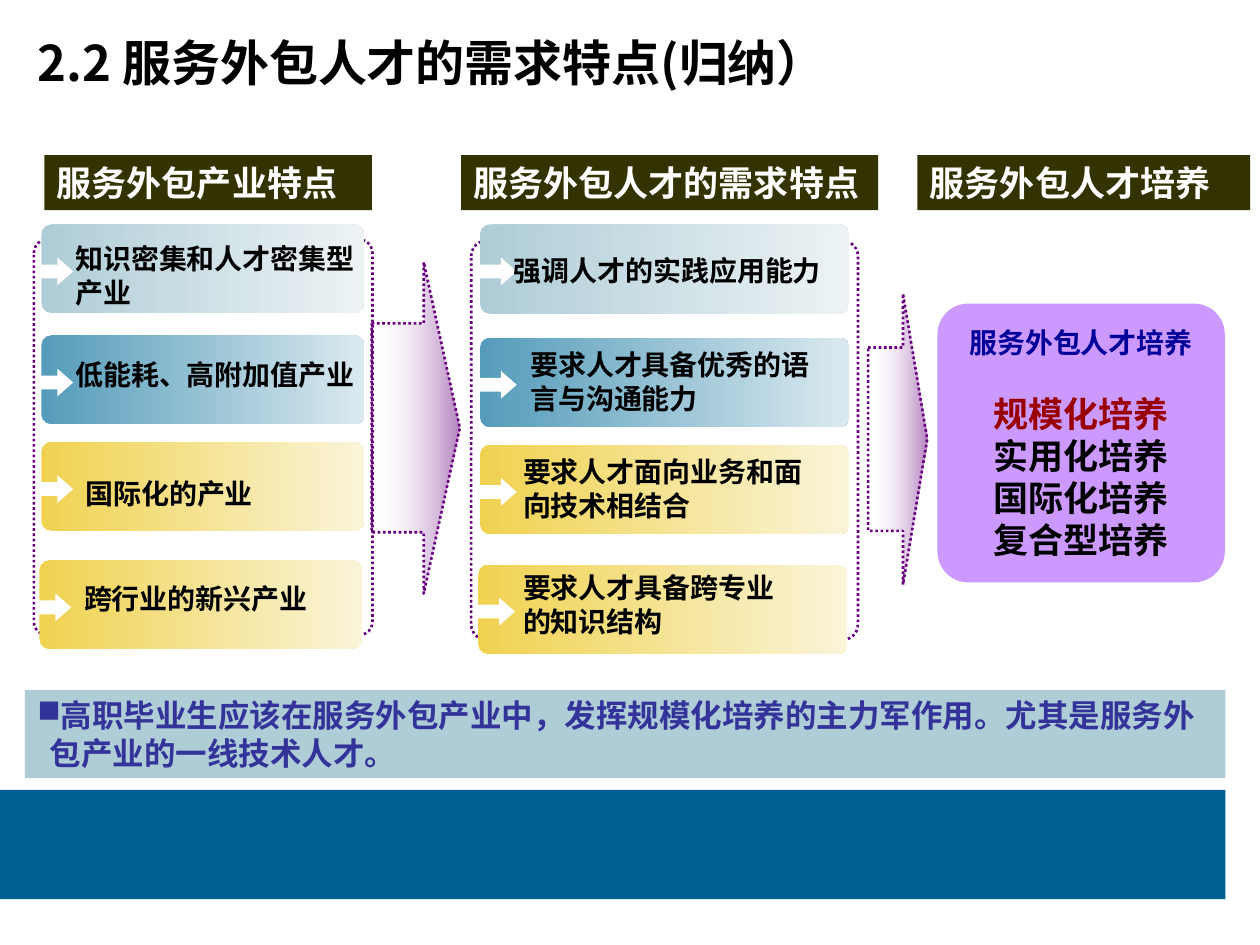
from dataclasses import dataclass

import pptx
import pptx.dml.color
import pptx.enum.dml
import pptx.enum.shapes
import pptx.enum.text
import pptx.oxml.ns
import pptx.util
from lxml import etree

Pt = pptx.util.Pt
RGBColor = pptx.dml.color.RGBColor
SHAPES = pptx.enum.shapes.MSO_SHAPE
ALIGN = pptx.enum.text.PP_ALIGN
ANCHOR = pptx.enum.text.MSO_ANCHOR
qn = pptx.oxml.ns.qn

BLACK = RGBColor(0x00, 0x00, 0x00)
WHITE = RGBColor(0xFF, 0xFF, 0xFF)
OFF_WHITE = RGBColor(0xFE, 0xFE, 0xFE)
PURPLE = RGBColor(0x66, 0x00, 0x7C)
LILAC = RGBColor(0xCC, 0x99, 0xFF)
OLIVE = RGBColor(0x33, 0x33, 0x00)
NAVY = RGBColor(0x00, 0x00, 0x99)
RED = RGBColor(0x99, 0x00, 0x00)
INDIGO = RGBColor(0x33, 0x33, 0x99)
FOOTER_BLUE = RGBColor(0x00, 0x61, 0x91)
MIST = RGBColor(0xAF, 0xCD, 0xD7)
MIST_PALE = RGBColor(0xED, 0xF3, 0xF5)
BLUE = RGBColor(0x55, 0x9C, 0xBA)
BLUE_PALE = RGBColor(0xDA, 0xE9, 0xEF)
YELLOW = RGBColor(0xF0, 0xD2, 0x50)
YELLOW_PALE = RGBColor(0xFA, 0xF4, 0xD9)

BAR_GRADIENTS = [(MIST, MIST_PALE), (BLUE, BLUE_PALE),
                 (YELLOW, YELLOW_PALE), (YELLOW, YELLOW_PALE)]


@dataclass(frozen=True)
class Box:
    """Position and size in points."""
    left: float
    top: float
    width: float
    height: float

    def lengths(self) -> list:
        return [Pt(value) for value in (self.left, self.top, self.width, self.height)]


@dataclass(frozen=True)
class Item:
    """One feature bar and the box of its label."""
    text: str
    bar_left: float
    bar_top: float
    label: Box


@dataclass(frozen=True)
class Column:
    """A dotted frame with its feature bars and the arrow leading onwards."""
    arrow: Box
    frame: Box
    bar_width: float
    bar_height: float
    marker_width: float
    items: list


COLUMNS = [
    Column(Box(496.1, 167.8, 33.8, 166.3), Box(269.3, 137.5, 221, 228.2), 211, 51.1, 23, [
        Item("强调人才的实践应用能力", 274.3, 128.2, Box(286.6, 141.1, 193, 26.6)),
        Item("要求人才具备优秀的语言与沟通能力", 274.3, 193, Box(296, 195.1, 189.4, 46)),
        Item("要求人才面向业务和面向技术相结合", 274.3, 254.2, Box(291.8, 256.3, 178.6, 46)),
        Item("要求人才具备跨专业的知识结构", 273.3, 322.6, Box(291.8, 322.6, 159, 46)),
    ]),
    Column(Box(212.4, 149.8, 50.4, 189.4), Box(19.4, 136.8, 193.5, 226.2), 184.5, 50.6, 20.2, [
        Item("知识密集和人才密集型产业", 23.6, 128.2, Box(36, 134.6, 176, 46)),
        Item("低能耗、高附加值产业", 23.6, 191.7, Box(36, 200.9, 176, 26.6)),
        Item("国际化的产业", 23.6, 252.6, Box(41.8, 268.6, 165.6, 26.6)),
        Item("跨行业的新兴产业", 22.5, 320.2, Box(41, 329, 156.2, 26.6)),
    ]),
]

HEADERS = [
    ("服务外包产业特点", Box(25.4, 88.6, 187.2, 31.5)),
    ("服务外包人才的需求特点", Box(263.5, 88.6, 238.3, 31.5)),
    ("服务外包人才培养", Box(524.3, 88.6, 190.1, 31.5)),
]

# text, size, colour, space before
TRAINING_LINES = [
    ("服务外包人才培养", 16, NAVY, 0),
    ("规模化培养", 20, RED, 19.2),
    ("实用化培养", 20, BLACK, 0),
    ("国际化培养", 20, BLACK, 0),
    ("复合型培养", 20, BLACK, 0),
]


def add_shape(slide, kind, box: Box, color: RGBColor = None, adjustments: tuple = ()):
    shape = slide.shapes.add_shape(kind, *box.lengths())
    shape.shadow.inherit = False
    shape.line.fill.background()
    if color is None:
        shape.fill.background()
    else:
        shape.fill.solid()
        shape.fill.fore_color.rgb = color
    for index, value in enumerate(adjustments):
        shape.adjustments[index] = value
    return shape


def fill_gradient(shape, left_color: RGBColor, right_color: RGBColor, opacities: tuple = ()) -> None:
    shape.fill.gradient()
    shape.fill.gradient_angle = 0
    for stop, color in zip(shape.fill.gradient_stops, (left_color, right_color)):
        stop.color.rgb = color
    for color_element, opacity in zip(shape.element.spPr.iter(qn("a:srgbClr")), opacities):
        etree.SubElement(color_element, qn("a:alpha"), val=str(opacity * 1000))


def set_dotted_line(shape) -> None:
    shape.line.color.rgb = PURPLE
    shape.line.width = Pt(1.5)
    shape.line.dash_style = pptx.enum.dml.MSO_LINE.ROUND_DOT


def format_paragraph(paragraph, size: float, color: RGBColor, font: str = "Arial",
                     align=ALIGN.LEFT) -> None:
    paragraph.alignment = align
    for run in paragraph.runs:
        run.font.size = Pt(size)
        run.font.bold = True
        run.font.name = font
        run.font.color.rgb = color


def set_text(shape, text: str, size: float, color: RGBColor, font: str = "Arial"):
    frame = shape.text_frame
    frame.word_wrap = True
    frame.vertical_anchor = ANCHOR.TOP
    frame.text = text
    format_paragraph(frame.paragraphs[0], size, color, font)
    return frame.paragraphs[0]


def add_label(slide, box: Box, text: str, size: float, font: str = "Arial") -> None:
    set_text(slide.shapes.add_textbox(*box.lengths()), text, size, BLACK, font)


def add_column(slide, column: Column) -> None:
    arrow = add_shape(slide, SHAPES.RIGHT_ARROW, column.arrow, adjustments=(0.63, 0.41))
    fill_gradient(arrow, OFF_WHITE, PURPLE, (0, 50))
    set_dotted_line(arrow)
    set_dotted_line(add_shape(slide, SHAPES.ROUNDED_RECTANGLE, column.frame, adjustments=(0.04,)))
    for item, colors in zip(column.items, BAR_GRADIENTS):
        bar_box = Box(item.bar_left, item.bar_top, column.bar_width, column.bar_height)
        bar = add_shape(slide, SHAPES.ROUNDED_RECTANGLE, bar_box, adjustments=(0.11,))
        fill_gradient(bar, *colors)
        marker = Box(item.bar_left - 2, item.bar_top + 19, column.marker_width, 15.8)
        add_shape(slide, SHAPES.RIGHT_ARROW, marker, WHITE, (0.5, 0.57))
    for item in column.items:
        add_label(slide, item.label, item.text, 16)


def add_training_card(slide) -> None:
    card = add_shape(slide, SHAPES.ROUNDED_RECTANGLE, Box(535.7, 173.5, 164.2, 159.3),
                     LILAC, (0.11,))
    frame = card.text_frame
    frame.word_wrap = True
    frame.vertical_anchor = ANCHOR.MIDDLE
    frame.text = "\n".join(line[0] for line in TRAINING_LINES)
    for paragraph, (_, size, color, space) in zip(frame.paragraphs, TRAINING_LINES):
        paragraph.space_before = Pt(space)
        format_paragraph(paragraph, size, color, align=ALIGN.CENTER)


def add_conclusion(slide) -> None:
    band = add_shape(slide, SHAPES.RECTANGLE, Box(14.2, 394.3, 686, 50.4), MIST)
    paragraph = set_text(
        band, "高职毕业生应该在服务外包产业中，发挥规模化培养的主力军作用。尤其是服务外包产业的一线技术人才。",
        18, INDIGO, "Lato")
    properties = paragraph._p.get_or_add_pPr()
    properties.set("marL", str(Pt(7.2)))
    properties.set("indent", str(Pt(-7.2)))
    bullet_color = etree.SubElement(properties, qn("a:buClr"))
    etree.SubElement(bullet_color, qn("a:srgbClr"), val=str(INDIGO))
    etree.SubElement(properties, qn("a:buChar"), char="■")


def main() -> None:
    presentation = pptx.Presentation()
    presentation.slide_width, presentation.slide_height = Pt(720), Pt(540)
    slide = presentation.slides.add_slide(presentation.slide_layouts[6])

    # Footer band and title
    add_shape(slide, SHAPES.RECTANGLE, Box(0, 451.4, 700.3, 62.4), FOOTER_BLUE)
    add_label(slide, Box(14.4, 15.1, 669, 41), "2.2 服务外包人才的需求特点(归纳）", 28, "Noto Sans CJK SC")
    # Feature columns, training card and headers
    for column in COLUMNS:
        add_column(slide, column)
    add_training_card(slide)
    for text, box in HEADERS:
        set_text(add_shape(slide, SHAPES.RECTANGLE, box, OLIVE), text, 20, WHITE)
    # Conclusion
    add_conclusion(slide)
    presentation.save("out.pptx")


if __name__ == "__main__":
    main()
